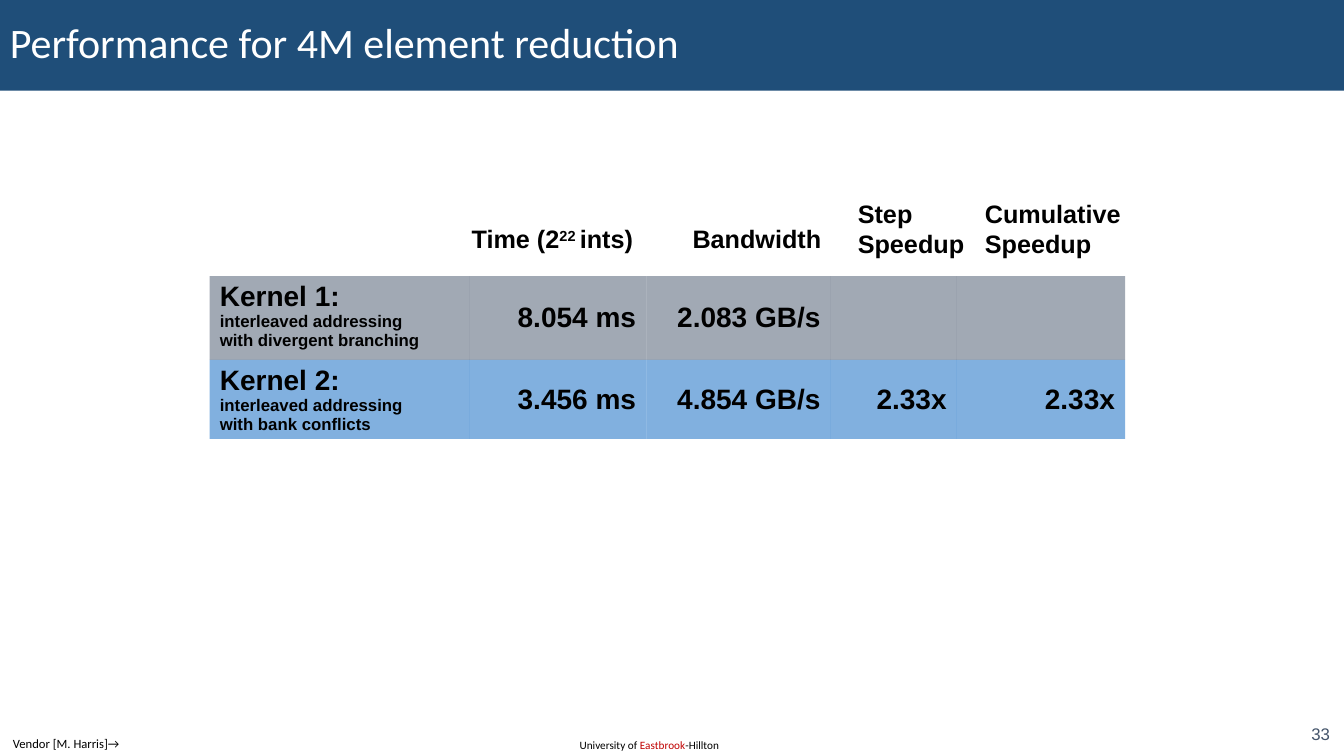
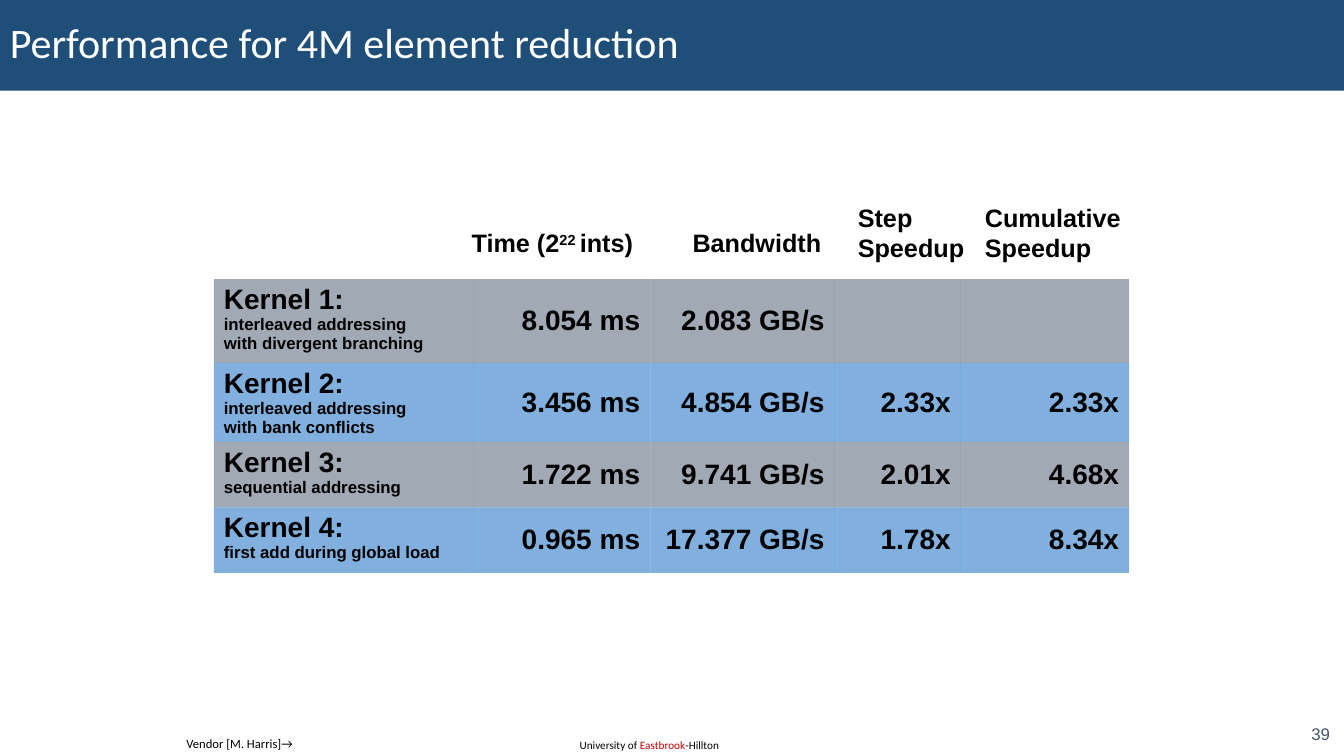
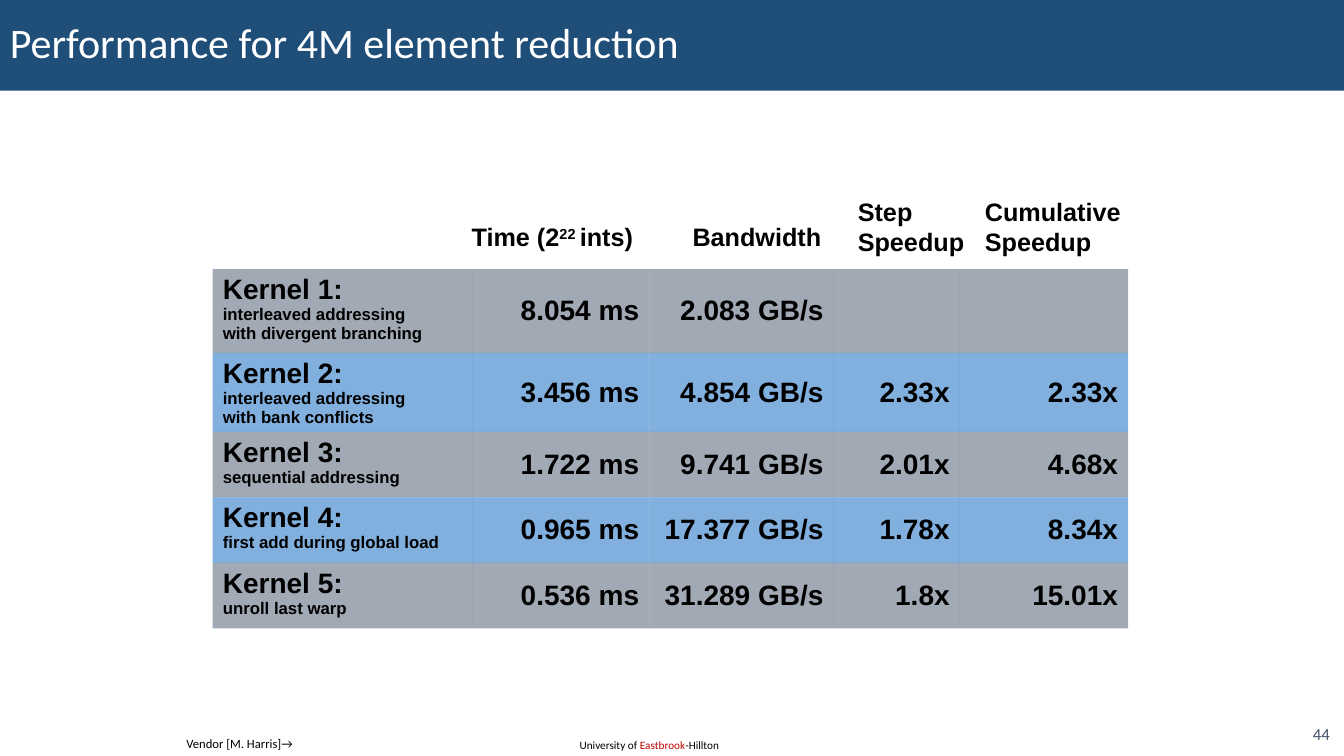
from copy import deepcopy

from pptx import Presentation
from pptx.dml.color import RGBColor
from pptx.enum.shapes import MSO_SHAPE
from pptx.enum.text import MSO_ANCHOR, PP_ALIGN
from pptx.oxml.ns import qn
from pptx.util import Inches, Pt

RECT, MIDDLE, TOP = MSO_SHAPE.RECTANGLE, MSO_ANCHOR.MIDDLE, MSO_ANCHOR.TOP
LEFT, RIGHT = PP_ALIGN.LEFT, PP_ALIGN.RIGHT

WIDTH, HEIGHT = 13.33, 7.5
NAVY, SLATE, BLUE = "1F4E79", "44546A", "0563C1"
WHITE, BLACK, RED = "FFFFFF", "000000", "C00000"
NO_STYLE = "{2D5ABB26-0587-4C30-8999-92F81FD0307C}"

TITLE = "Performance for 4M element reduction"
CREDIT = "Vendor [M. Harris]→"
FOOTER = [("University of ", {}), ("Eastbrook", {"color": RED}), ("-Hillton", {})]

KERNELS = [
    ("Kernel 1:", "interleaved addressing\nwith divergent branching", "8.054 ms", "2.083 GB/s", "", ""),
    ("Kernel 2:", "interleaved addressing\nwith bank conflicts", "3.456 ms", "4.854 GB/s", "2.33x", "2.33x"),
    ("Kernel 3:", "sequential addressing", "1.722 ms", "9.741 GB/s", "2.01x", "4.68x"),
    ("Kernel 4:", "first add during global load", "0.965 ms", "17.377 GB/s", "1.78x", "8.34x"),
    ("Kernel 5:", "unroll last warp", "0.536 ms", "31.289 GB/s", "1.8x", "15.01x"),
]
COLUMNS = [2.58, 1.75, 1.83, 1.25, 1.67]
FIRST_ROW, ROW = 0.83, 0.65

# left, width, runs
HEADERS = [
    (4.58, 1.84, [("Time (2", {}), ("22 ", {"raised": True}), ("ints)", {})]),
    (6.77, 1.48, [("Bandwidth", {})]),
    (8.41, 1.26, [("Step\nSpeedup", {})]),
    (9.67, 1.55, [("Cumulative\nSpeedup", {})]),
]
HEADER_LINE = 0.3

SLIDES = [
    dict(number="33", number_font="Arial", kernels=2, table=(2.08, 2.74), header_top=1.92, credit_left=0.03),
    dict(number="39", number_font="Arial", kernels=4, table=(2.12, 2.77), header_top=1.96, credit_left=1.75),
    dict(number="44", number_font="Calibri", kernels=5, table=(2.11, 2.67), header_top=1.9, credit_left=1.75),
]


def rgb(color):
    return RGBColor.from_string(color)


def write(tf, runs, align=LEFT, anchor=TOP, **base):
    """Fill the first paragraph; each run's style overrides the base style."""
    tf.vertical_anchor = anchor
    p = tf.paragraphs[0]
    p.alignment = align
    for text, own in runs:
        style = {**base, **own}
        for i, line in enumerate(text.split("\n")):
            if i:
                add_break(p)
            if line:
                r = p.add_run()
                r.text = line
                set_font(r.font, **style)
    return p


def add_break(p):
    """Break the line in the style of the run before it."""
    style = deepcopy(p.runs[-1].font._element)
    p.add_line_break()
    p._p[-1].append(style)


def set_font(font, size, name="Arial", color=BLACK, bold=False, raised=False):
    font.size, font.name, font.bold = Pt(size), name, bold
    font.color.rgb = rgb(color)
    if raised:
        font._element.set("baseline", "30000")


def add_text(s, box, runs, wrap=False, **style):
    tf = s.shapes.add_textbox(*map(Inches, box)).text_frame
    tf.word_wrap = wrap
    write(tf, runs, **style)


def add_frame(s, number, number_font, credit_left):
    """Draw the title band and the three footers."""
    band = s.shapes.add_shape(RECT, 0, 0, Inches(WIDTH), Inches(0.9))
    band.shadow.inherit = False
    band.fill.solid()
    band.fill.fore_color.rgb = rgb(NAVY)
    band.line.fill.background()
    p = write(band.text_frame, [(TITLE, {})], anchor=MIDDLE, size=30, name="Calibri", color=WHITE)
    p.line_spacing = 0.9
    add_text(s, (5.65, 7.28, 1.72, 0.24), FOOTER, wrap=True, size=8, name="Calibri")
    add_text(s, (credit_left, 7.25, 1.6, 0.25), [(CREDIT, {})], wrap=True, size=9, name="Calibri")
    add_text(s, (12.53, 7.13, 0.76, 0.29), [(number, {})], wrap=True, align=RIGHT,
             anchor=MIDDLE, size=12, name=number_font, color=SLATE)


def fill_half(cell, color):
    """Fill the cell at 50% opacity."""
    cell.fill.solid()
    cell.fill.fore_color.rgb = rgb(color)
    clr = cell._tc.tcPr.find(".//" + qn("a:srgbClr"))
    clr.append(clr.makeelement(qn("a:alpha"), {"val": "50000"}))


def add_kernel_table(s, kernels, left, top):
    heights = [FIRST_ROW] + [ROW] * (len(kernels) - 1)
    frame = s.shapes.add_table(len(kernels), len(COLUMNS), Inches(left), Inches(top),
                               Inches(sum(COLUMNS)), Inches(sum(heights)))
    table = frame.table
    table._tbl.tblPr.find(qn("a:tableStyleId")).text = NO_STYLE
    table.first_row = table.horz_banding = False
    for column, width in zip(table.columns, COLUMNS):
        column.width = Inches(width)
    for i, (name, method, *values) in enumerate(kernels):
        table.rows[i].height = Inches(heights[i])
        for j in range(len(COLUMNS)):
            cell = table.cell(i, j)
            fill_half(cell, BLUE if i % 2 else SLATE)
            if j == 0:
                write(cell.text_frame, [(name + "\n", {}), (method, {"size": 12})], size=20, bold=True)
                cell.margin_bottom = 0
            elif values[j - 1]:
                write(cell.text_frame, [(values[j - 1], {})], align=RIGHT, size=20, bold=True)
                cell.vertical_anchor = MIDDLE


def add_headers(s, top):
    """Place the column heads, with one-line heads lowered beside two-line heads."""
    for left, width, runs in HEADERS:
        two_lines = "\n" in runs[0][0]
        y, height = (top, 0.4 + HEADER_LINE) if two_lines else (top + 0.25, 0.4)
        add_text(s, (left, y, width, height), runs, size=18, bold=True)


def main():
    prs = Presentation()
    prs.slide_width, prs.slide_height = Inches(WIDTH), Inches(HEIGHT)
    for page in SLIDES:
        s = prs.slides.add_slide(prs.slide_layouts[6])
        add_frame(s, page["number"], page["number_font"], page["credit_left"])
        add_kernel_table(s, KERNELS[:page["kernels"]], *page["table"])
        add_headers(s, page["header_top"])
    prs.save("out.pptx")


if __name__ == "__main__":
    main()
